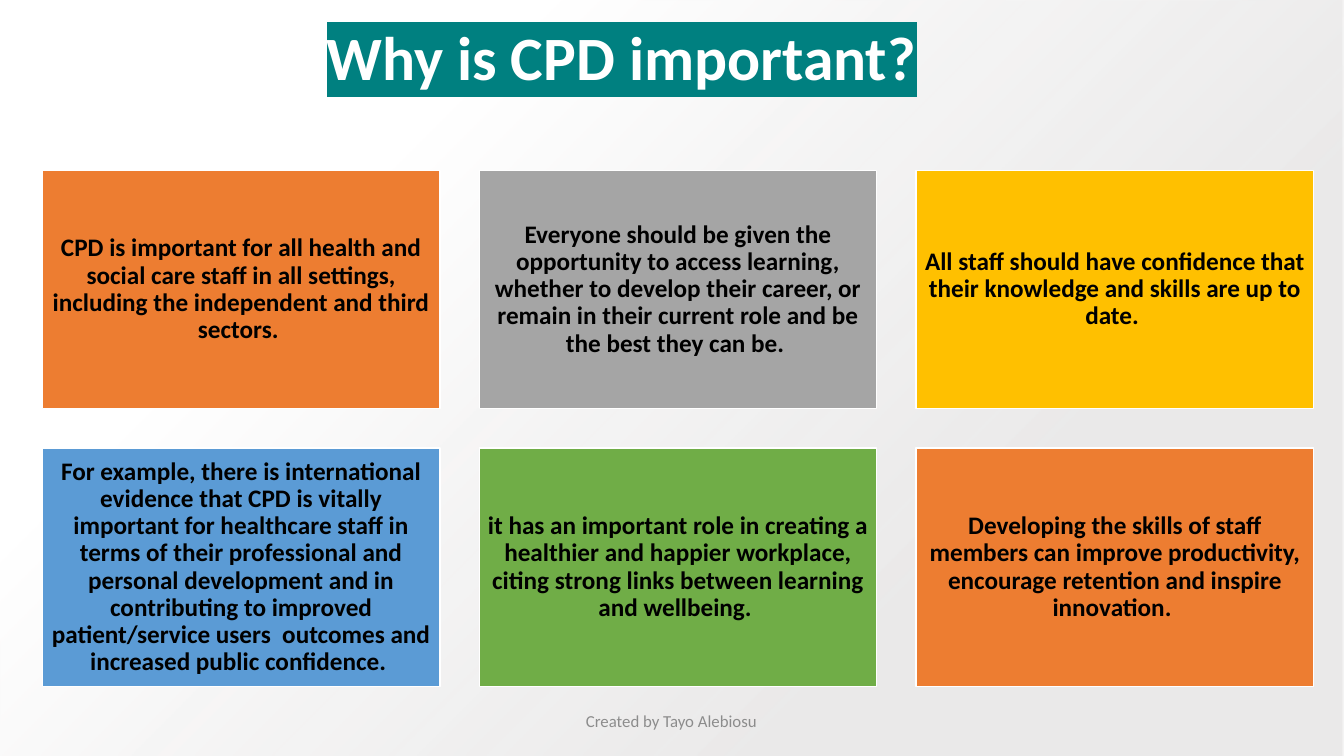
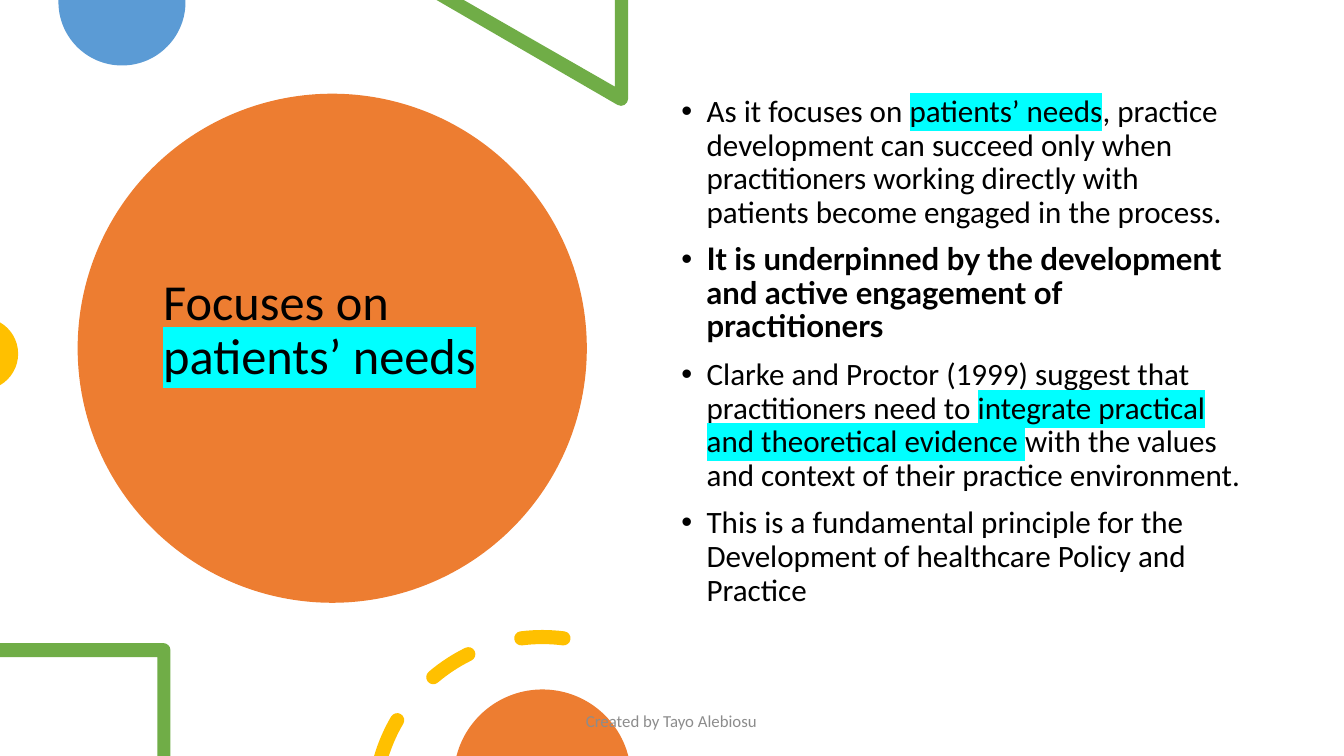
from math import asin, ceil, cos, degrees, radians, sin, tan

from pptx import Presentation
from pptx.dml.color import RGBColor
from pptx.enum.shapes import MSO_SHAPE as Shape
from pptx.enum.text import MSO_ANCHOR as Anchor, PP_ALIGN as Align
from pptx.oxml import parse_xml
from pptx.oxml.ns import nsdecls, qn
from pptx.util import Inches, Pt

SLIDE_WIDTH, SLIDE_HEIGHT = 13.33, 7.5
ORANGE, GRAY, GOLD = "ED7D31", "A5A5A5", "FFC000"
BLUE, GREEN, TEAL, CYAN = "5B9BD5", "70AD47", "008080", "00FFFF"
BLACK, WHITE, FOOTER_GRAY = "000000", "FFFFFF", "8C8C8C"

TITLE_STYLE = {"name": "Calibri", "size": Pt(44), "bold": True, "color": WHITE}
CIRCLE_TITLE_STYLE = {"name": "Calibri", "size": Pt(36), "color": BLACK}
CARD_STYLE = {"name": "Calibri", "size": Pt(18), "bold": True, "color": BLACK}
BODY_STYLE = {"name": "Calibri", "size": Pt(22.2), "color": BLACK}
STRONG_STYLE = BODY_STYLE | {"name": "Lato", "bold": True}
FOOTER_STYLE = {"name": "Calibri", "size": Pt(12), "color": FOOTER_GRAY}

CARDS = [
    (ORANGE, "CPD is important for all health and social care staff in all settings, "
             "including the independent and third sectors. "),
    (GRAY, "Everyone should be given the opportunity to access learning, whether to "
           "develop their career, or remain in their current role and be the best "
           "they can be. "),
    (GOLD, "All staff should have confidence that their knowledge and skills are up "
           "to date. "),
    (BLUE, "For example, there is international evidence that CPD is vitally important "
           "for healthcare staff in terms of their professional and personal development "
           "and in contributing to improved patient/service users  outcomes and "
           "increased public confidence. "),
    (GREEN, "it has an important role in creating a healthier and happier workplace, "
            "citing strong links between learning and wellbeing. "),
    (ORANGE, "Developing the skills of staff members can improve productivity, "
             "encourage retention and inspire innovation. "),
]

# Each paragraph: its style, then runs of (text, highlight).
NEEDS_POINTS = [
    (BODY_STYLE, [
        ("As it focuses on ", None), ("patients’ needs", CYAN),
        (", practice development can succeed only when practitioners working "
         "directly with patients become engaged in the process.", None)]),
    (STRONG_STYLE, [
        ("It is underpinned by the development and active engagement of "
         "practitioners", None)]),
    (BODY_STYLE, [
        ("Clarke and Proctor (1999) suggest that practitioners need to ", None),
        ("integrate practical and theoretical evidence ", CYAN),
        ("with the values and context of their practice environment.", None)]),
    (BODY_STYLE, [
        ("This is a fundamental principle for the Development of healthcare "
         "Policy and Practice", None)]),
]


def color(hex_value):
    return RGBColor.from_string(hex_value)


def add_run(paragraph, text, style, highlight=None):
    run = paragraph.add_run()
    run.text = text
    for name, value in style.items():
        if name == "color":
            run.font.color.rgb = color(value)
        else:
            setattr(run.font, name, value)
    if highlight:
        run._r.rPr.find(qn("a:solidFill")).addnext(parse_xml(
            f'<a:highlight {nsdecls("a")}><a:srgbClr val="{highlight}"/></a:highlight>'))


def add_bullet(paragraph):
    properties = paragraph._p.get_or_add_pPr()
    properties.set("marL", str(Inches(0.25)))
    properties.set("indent", str(Inches(-0.25)))
    for element in ('buFont {} typeface="Arial"', 'buChar {} char="•"'):
        properties.append(parse_xml(f'<a:{element.format(nsdecls("a"))}/>'))


def fill_text(frame, paragraphs, anchor=Anchor.MIDDLE, align=Align.LEFT,
              spacing=0.9, bullets=False):
    """Write paragraphs, each a style and a list of (text, highlight)."""
    frame.word_wrap = True
    frame.vertical_anchor = anchor
    for index, (style, runs) in enumerate(paragraphs):
        paragraph = frame.add_paragraph() if index else frame.paragraphs[0]
        if bullets:
            add_bullet(paragraph)
        paragraph.alignment = align
        paragraph.line_spacing = spacing
        if index:
            paragraph.space_before = Pt(10)
        for text, highlight in runs:
            add_run(paragraph, text, style, highlight)


def add_text(slide, box, paragraphs, **layout):
    text_box = slide.shapes.add_textbox(*map(Inches, box))
    fill_text(text_box.text_frame, paragraphs, **layout)


def paint(shape, fill, line=None):
    shape.shadow.inherit = False
    shape.fill.solid()
    shape.fill.fore_color.rgb = color(fill)
    if line:
        shape.line.color.rgb = color(line)
        shape.line.width = Pt(1)
    else:
        shape.line.fill.background()


def add_shape(slide, kind, box, fill, line=None):
    shape = slide.shapes.add_shape(kind, *map(Inches, box))
    paint(shape, fill, line)
    return shape


def bend(first_line):
    """Turn three line segments into one curve with the same points."""
    curve = parse_xml(f'<a:cubicBezTo {nsdecls("a")}/>')
    first_line.addprevious(curve)
    lines = [first_line, first_line.getnext(), first_line.getnext().getnext()]
    for line in lines:
        curve.append(line[0])
        line.getparent().remove(line)


def add_outline(slide, fill, *contours):
    """Draw closed contours as one shape; each step is a list of one point
    for a line, or of three for a curve."""
    builder, line_index, curve_starts = None, 0, []
    for (start,), *steps in contours:
        corner = [Inches(value) for value in start]
        if builder is None:
            builder = slide.shapes.build_freeform(*corner)
        else:
            builder.move_to(*corner)
        for step in steps:
            if len(step) == 3:
                curve_starts.append(line_index)
            line_index += len(step)
        builder.add_line_segments(
            [(Inches(x), Inches(y)) for step in steps for x, y in step], close=True)
    shape = builder.convert_to_shape()
    lines = list(shape._element.iter(qn("a:lnTo")))
    for index in curve_starts:
        bend(lines[index])
    paint(shape, fill)


def lines_to(*points):
    return [[point] for point in points]


def arc(center, radius, start, end):
    """Steps from start to end, in degrees clockwise from the right."""
    pieces = ceil(abs(end - start) / 92)
    sweep = radians(end - start) / pieces
    reach = radius * 4 / 3 * tan(sweep / 4)

    def point(angle, along=0):
        return (center[0] + radius * cos(angle) - along * sin(angle),
                center[1] + radius * sin(angle) + along * cos(angle))

    angles = [radians(start) + sweep * i for i in range(pieces + 1)]
    return [[point(angles[0])]] + [
        [point(a, reach), point(b, -reach), point(b)] for a, b in zip(angles, angles[1:])]


def ring_dash(center, radius, thickness, start, end):
    """A round-ended piece of a ring; without a start it rises from the slide foot."""
    half = thickness / 2
    outer, inner = radius + half, radius - half

    def from_foot(edge_radius):
        return 180 + degrees(asin((center[1] - SLIDE_HEIGHT) / edge_radius))

    def cap(angle, turn):
        middle = arc(center, radius, angle, angle + 1)[0][0]
        return arc(middle, half, turn, turn + 180)[1:]

    outer_start, inner_start = (start or from_foot(edge) for edge in (outer, inner))
    steps = (arc(center, outer, outer_start, end) + cap(end, end)
             + arc(center, inner, end, inner_start)[1:])
    return steps + cap(start, start + 180) if start else steps


def add_gradient_backdrop(slide):
    backdrop = add_shape(slide, Shape.RECTANGLE, (0, 0, SLIDE_WIDTH, SLIDE_HEIGHT), WHITE)
    solid = backdrop._element.spPr.find(qn("a:solidFill"))
    solid.getparent().replace(solid, parse_xml(
        f'<a:gradFill {nsdecls("a")} rotWithShape="1"><a:gsLst>'
        '<a:gs pos="28000"><a:srgbClr val="E7E6E6"><a:alpha val="84000"/></a:srgbClr></a:gs>'
        '<a:gs pos="74000"><a:srgbClr val="FFFFFF"/></a:gs></a:gsLst>'
        '<a:path path="circle"><a:fillToRect l="100000" t="100000"/></a:path>'
        '<a:tileRect r="-100000" b="-100000"/></a:gradFill>'))


def add_card_grid(slide, box, cards, columns=3, gap=0.39):
    left, top, width, height = box
    rows = ceil(len(cards) / columns)
    card_width = (width - gap * (columns - 1)) / columns
    card_height = (height - gap * (rows - 1)) / rows
    for index, (fill, text) in enumerate(cards):
        row, column = divmod(index, columns)
        card_box = (left + column * (card_width + gap), top + row * (card_height + gap),
                    card_width, card_height)
        frame = add_shape(slide, Shape.RECTANGLE, card_box, fill, WHITE).text_frame
        for side in ("left", "top", "right", "bottom"):
            setattr(frame, f"margin_{side}", Inches(0.07))
        fill_text(frame, [(CARD_STYLE, [(text, None)])], align=Align.CENTER)


def add_title_circle(slide, box):
    left, top, diameter = box
    add_shape(slide, Shape.OVAL, (left, top, diameter, diameter), ORANGE)
    add_text(slide, (left + 0.75, top + 0.13, 3.54, 4.45),
             [(CIRCLE_TITLE_STYLE, [("Focuses on ", None), ("patients’ needs", CYAN)])])


def add_top_decorations(slide):
    add_outline(slide, BLUE, arc((1.21, 0.02), 0.63, -1.8, 181.8))
    add_outline(slide, GREEN, lines_to((6.23, 0), (6.1, 0), (6.1, 0.86), (4.6, 0), (4.33, 0))
                + arc((6.16, 0.98), 0.07, 120, 0))
    add_outline(slide, GOLD, arc((-0.18, 3.51), 0.36, -60, 60))


def add_bottom_decorations(slide):
    add_outline(slide, GREEN, lines_to((0, 6.38)) + arc((1.62, 6.45), 0.07, 270, 360)
                + lines_to((1.69, SLIDE_HEIGHT), (1.56, SLIDE_HEIGHT), (1.56, 6.52), (0, 6.52)))
    dash_angles = [(None, 210.4), (229.6, 243.9), (262.8, 277.2)]
    add_outline(slide, GOLD, *(ring_dash((5.38, 7.99), 1.67, 0.14, *angles)
                               for angles in dash_angles))
    add_outline(slide, ORANGE, arc((5.38, 7.72), 0.88, 194.5, 345.5))


def add_footer(slide):
    add_text(slide, (4.41, 6.95, 4.5, 0.4),
             [(FOOTER_STYLE, [("Created by Tayo Alebiosu", None)])],
             align=Align.CENTER, spacing=1.0)


def build_importance_slide(slide):
    add_gradient_backdrop(slide)
    add_text(slide, (0.79, 0.16, 10.75, 0.88),
             [(TITLE_STYLE, [("Why is CPD important?", TEAL)])], align=Align.CENTER)
    add_card_grid(slide, (0.42, 1.69, 12.61, 5.12), CARDS)


def build_needs_slide(slide):
    add_title_circle(slide, (0.77, 0.93, 5.05))
    add_top_decorations(slide)
    add_text(slide, (6.66, 0.9, 5.75, 5.35), NEEDS_POINTS, anchor=Anchor.TOP, bullets=True)
    add_bottom_decorations(slide)


def main():
    presentation = Presentation()
    presentation.slide_width = Inches(SLIDE_WIDTH)
    presentation.slide_height = Inches(SLIDE_HEIGHT)
    for build in (build_importance_slide, build_needs_slide):
        slide = presentation.slides.add_slide(presentation.slide_layouts[6])
        build(slide)
        add_footer(slide)
    presentation.save("out.pptx")


if __name__ == "__main__":
    main()
